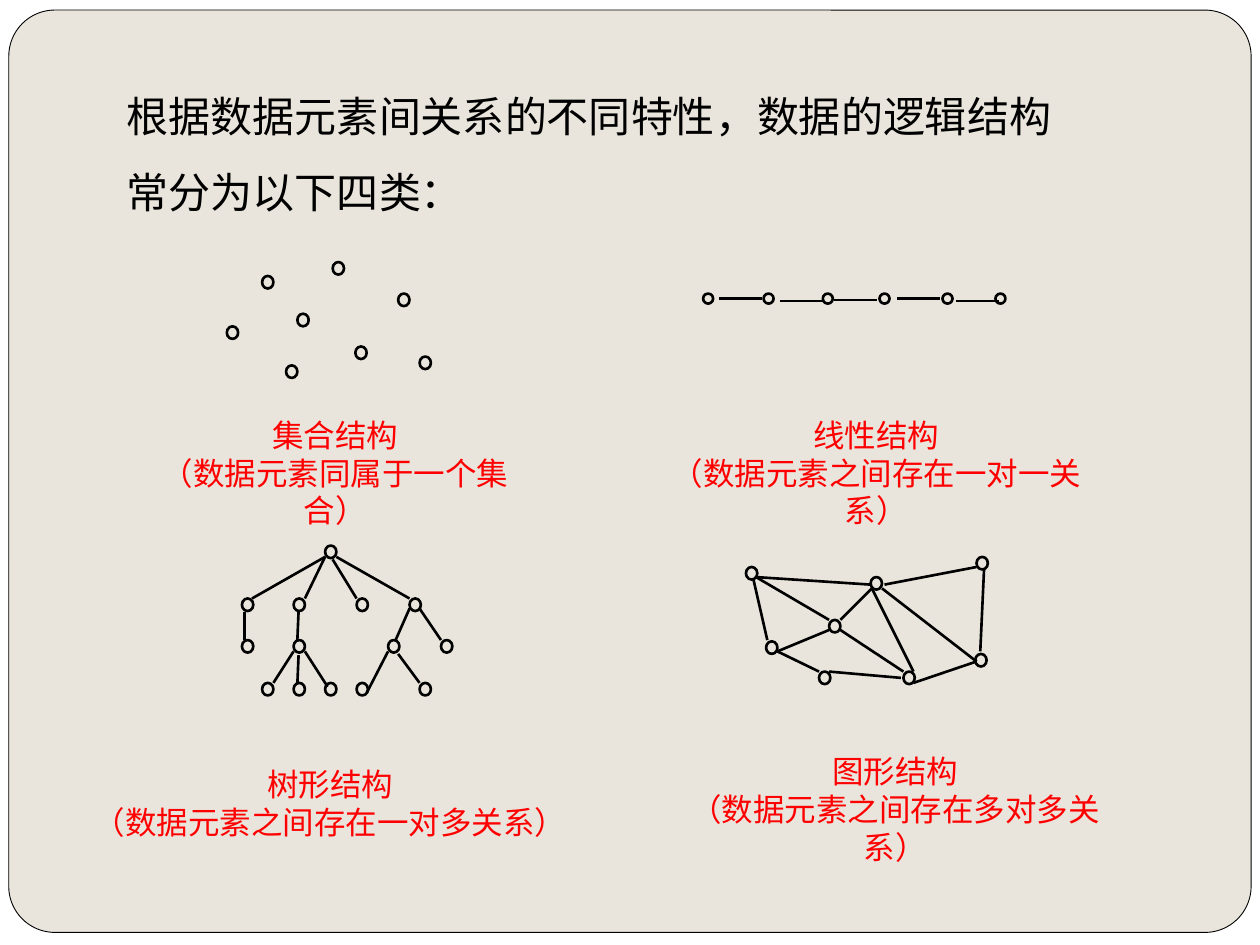
from pptx import Presentation
from pptx.dml.color import RGBColor
from pptx.enum.shapes import MSO_CONNECTOR, MSO_SHAPE
from pptx.enum.text import MSO_AUTO_SIZE, PP_ALIGN
from pptx.oxml.ns import qn
from pptx.util import Pt
from lxml import etree

PX = 9144
COLORS = {"ink": "000000", "caption": "FF0000", "panel": "E9E5DC", "edge": "FFFFFF"}


def rgb(name):
    return RGBColor.from_string(COLORS[name])


def add_text(shapes, text, box, size=18, color="caption", align=PP_ALIGN.CENTER, spacing=None):
    sp = shapes.add_textbox(*[v * PX for v in box])
    tf = sp.text_frame
    tf.word_wrap = True
    tf.auto_size = MSO_AUTO_SIZE.SHAPE_TO_FIT_TEXT
    for i, line in enumerate(text.split("\n")):
        p = tf.add_paragraph() if i else tf.paragraphs[0]
        p.alignment = align
        p.line_spacing = spacing
        r = p.add_run()
        r.text = line
        r.font.size = Pt(size)
        r.font.name = "Times New Roman"
        r.font.color.rgb = rgb(color)


prs = Presentation()
prs.slide_width, prs.slide_height = 1000 * PX, 750 * PX
s = prs.slides.add_slide(prs.slide_layouts[6])

for kind, box, fill in [
    (MSO_SHAPE.RECTANGLE, (0, 0, 1000, 750), "edge"),
    (MSO_SHAPE.ROUNDED_RECTANGLE, (7, 8, 986, 732), "panel"),
]:
    sp = s.shapes.add_shape(kind, *[v * PX for v in box])
    sp.shadow.inherit = False
    sp.fill.solid()
    sp.fill.fore_color.rgb = rgb(fill)
    if kind == MSO_SHAPE.RECTANGLE:
        sp.line.fill.background()
    else:
        sp.adjustments[0] = 0.05
        sp.line.color.rgb = rgb("ink")
        sp.line.width = Pt(0.5)

add_text(s.shapes, "根据数据元素间关系的不同特性，数据的逻辑结构常分为以下四类：",
         (91, 47, 784, 131), size=24, color="ink", align=PP_ALIGN.LEFT, spacing=1.5)

figures = [
    {
        "caption": "线性结构\n（数据元素之间存在一对一关系）",
        "box": (500, 325, 391, 71),
        "node": (8, 8),
        "nodes": [(x, 233) for x in (558, 606, 653, 698, 748, 790)],
        "edges": [(x, y, x + 34, y) for x, y in
                  [(571, 237), (619, 239), (662, 238), (712, 237), (759, 239)]],
    },
    {
        "caption": "集合结构\n（数据元素同属于一个集合）",
        "box": (102, 325, 328, 71),
        "node": (9, 10),
        "nodes": [(180, 259), (227, 290), (208, 219), (264, 208),
                  (236, 249), (333, 283), (316, 233), (282, 275)],
        "edges": [],
    },
    {
        "caption": "图形结构\n（数据元素之间存在多对多关系）",
        "box": (523, 592, 375, 71),
        "node": (9, 10),
        "nodes": [(608, 509), (775, 442), (774, 519), (717, 533),
                  (691, 458), (658, 492), (650, 533), (592, 450)],
        "edges": [(598, 460, 609, 508), (600, 458, 691, 464), (667, 492, 692, 467),
                  (702, 464, 775, 450), (778, 517, 781, 452), (617, 517, 658, 500),
                  (617, 517, 650, 533), (658, 533, 715, 538), (667, 500, 717, 533),
                  (692, 467, 725, 533), (700, 467, 775, 525), (725, 542, 775, 525),
                  (600, 458, 658, 492)],
    },
    {
        "caption": "树形结构\n（数据元素之间存在一对多关系）",
        "box": (55, 602, 414, 71),
        "node": (9, 10),
        "nodes": [(x, y) for y, xs in [
            (433, (258,)),
            (475, (192, 233, 283, 325)),
            (508, (192, 233, 308, 350)),
            (542, (208, 233, 258, 283, 333)),
        ] for x in xs],
        "edges": [(233, 517, 217, 542), (267, 442, 325, 475), (264, 444, 283, 475),
                  (258, 442, 242, 475), (258, 442, 200, 475), (194, 486, 194, 508),
                  (237, 485, 236, 508), (333, 483, 350, 508), (325, 483, 314, 508),
                  (316, 519, 333, 542), (308, 517, 291, 550), (242, 517, 260, 545),
                  (237, 520, 236, 543)],
    },
]

for fig in figures:
    group = s.shapes.add_group_shape()
    for node in fig["nodes"]:
        sp = group.shapes.add_shape(MSO_SHAPE.OVAL, *[v * PX for v in node + fig["node"]])
        sp.shadow.inherit = False
        sp.fill.background()
        sp.line.color.rgb = rgb("ink")
        sp.line.width = Pt(1.5)
    for edge in fig["edges"]:
        ln = group.shapes.add_connector(MSO_CONNECTOR.STRAIGHT, *[v * PX for v in edge])
        ln.line.color.rgb = rgb("ink")
        ln.line.width = Pt(1.5)
        etree.SubElement(ln._element.spPr, qn("a:effectLst"))
    add_text(group.shapes, fig["caption"], fig["box"])

prs.save("out.pptx")
